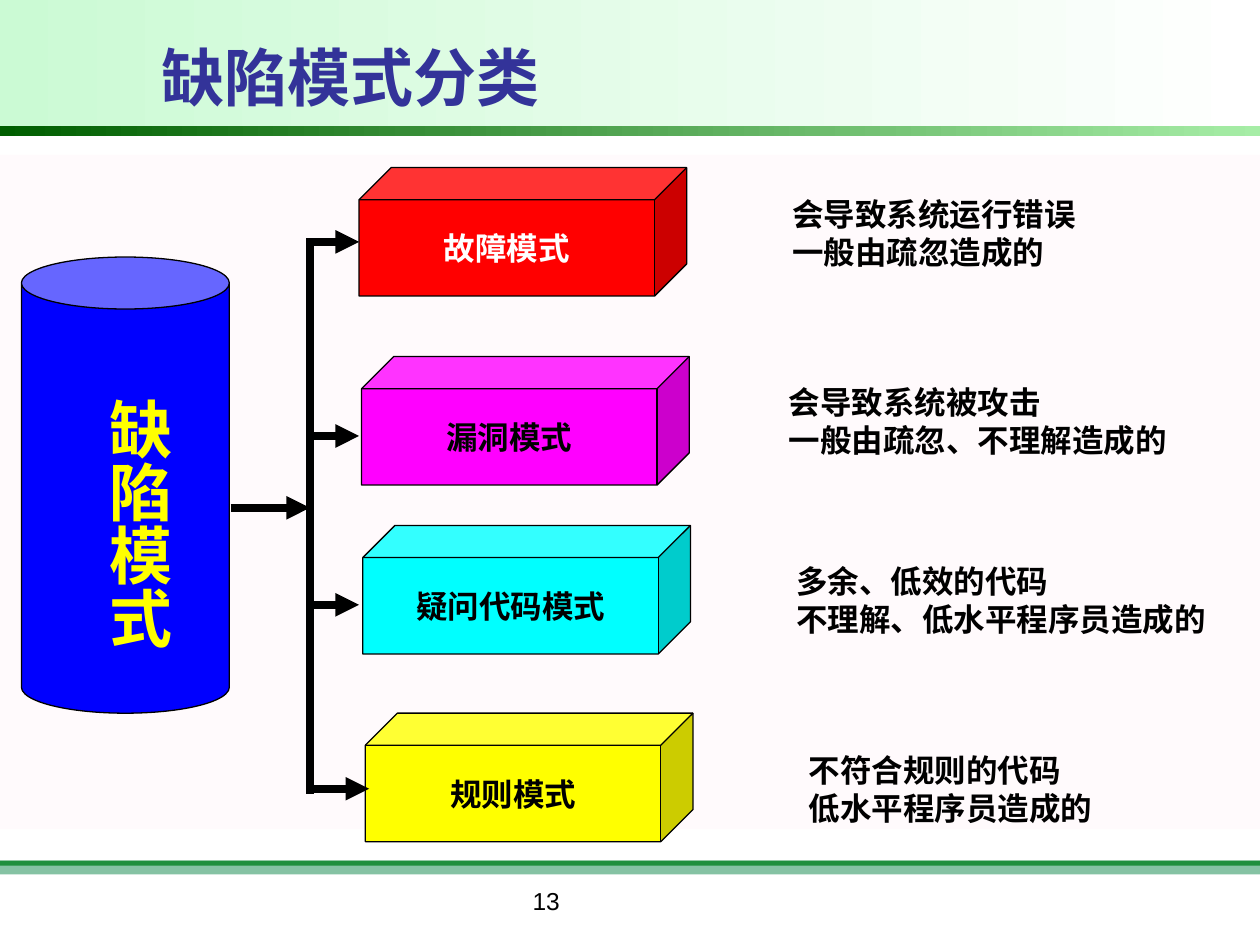
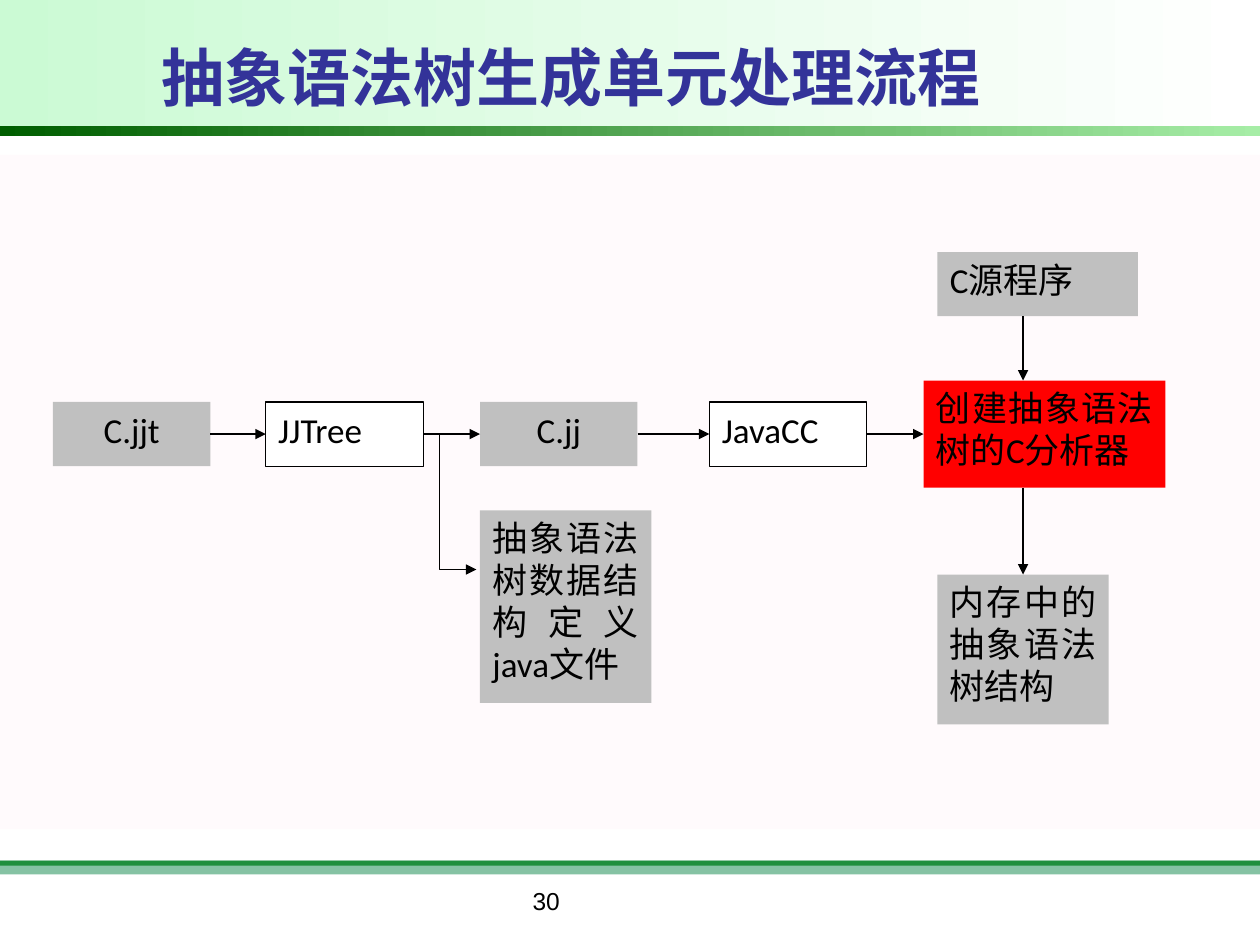
from dataclasses import dataclass
from typing import NamedTuple

from lxml import etree
from pptx import Presentation
from pptx.dml.color import RGBColor
from pptx.enum.shapes import MSO_CONNECTOR, MSO_SHAPE
from pptx.enum.text import MSO_ANCHOR, MSO_AUTO_SIZE, PP_ALIGN
from pptx.oxml.ns import qn
from pptx.util import Inches, Pt

RECT, CAN, CUBE = MSO_SHAPE.RECTANGLE, MSO_SHAPE.CAN, MSO_SHAPE.CUBE
STRAIGHT = MSO_CONNECTOR.STRAIGHT
TOP, MIDDLE = MSO_ANCHOR.TOP, MSO_ANCHOR.MIDDLE
GROW = MSO_AUTO_SIZE.SHAPE_TO_FIT_TEXT
LEFT, CENTER, JUSTIFY = PP_ALIGN.LEFT, PP_ALIGN.CENTER, PP_ALIGN.JUSTIFY
LEFT_SIDE, RIGHT_SIDE, TOP_SIDE = 1, 3, 0


@dataclass(frozen=True)
class Theme:
    font: str = "Arial"
    flow_font: str = "Calibri"
    title_size: int = 36
    flow_size: int = 20
    body_size: int = 18
    number_size: int = 14
    thin: float = 0.75
    thick: float = 4.5
    black: str = "000000"
    white: str = "FFFFFF"
    title: str = "333399"
    panel: str = "FFFAFC"
    header_start: str = "CBFAD4"
    band_start: str = "005E00"
    band_end: str = "A6EDA6"
    footer_light: str = "85C2A3"
    footer_dark: str = "1F8F3D"
    blue: str = "0000FF"
    red: str = "FF0000"
    magenta: str = "FF00FF"
    cyan: str = "00FFFF"
    yellow: str = "FFFF00"
    grey: str = "C0C0C0"


T = Theme()


class Box(NamedTuple):
    left: float
    top: float
    width: float
    height: float

    def place(self, left, top, width, height):
        return Box(self.left + left, self.top + top, width, height)

    def point(self, x, y):
        return Inches(self.left + x), Inches(self.top + y)

    def emu(self):
        return [Inches(v) for v in self]


def rgb(value):
    return RGBColor.from_string(value)


def write(sp, lines, size, color=T.black, font=T.font, bold=False,
          align=LEFT, anchor=TOP, wrap=True):
    tf = sp.text_frame
    tf.text = "\n".join(lines)
    tf.word_wrap = wrap
    tf.vertical_anchor = anchor
    for p in tf.paragraphs:
        p.alignment = align
        for r in p.runs:
            r.font.name = font
            r.font.size = Pt(size)
            r.font.bold = bold
            r.font.color.rgb = rgb(color)


def add_label(slide, box, lines, size, **style):
    sp = slide.shapes.add_textbox(*box.emu())
    write(sp, lines, size, **style)
    return sp


def add_solid(slide, kind, box, fill, outline=None):
    sp = slide.shapes.add_shape(kind, *box.emu())
    sp.shadow.inherit = False
    sp.fill.solid()
    sp.fill.fore_color.rgb = rgb(fill)
    if outline:
        sp.line.color.rgb = rgb(outline)
        sp.line.width = Pt(T.thin)
    else:
        sp.line.fill.background()
    return sp


def add_gradient(slide, box, start, end):
    sp = add_solid(slide, RECT, box, start)
    sp.fill.gradient()
    sp.fill.gradient_angle = 0
    for stop, color in zip(sp.fill.gradient_stops, (start, end)):
        stop.color.rgb = rgb(color)


def style_line(line_shape, width, arrow):
    line_shape.line.color.rgb = rgb(T.black)
    line_shape.line.width = Pt(width)
    if arrow:
        ln = line_shape._element.spPr.find(qn("a:ln"))
        etree.SubElement(ln, qn("a:tailEnd"), type="triangle")


def add_line(slide, start, end, width, arrow=True):
    cxn = slide.shapes.add_connector(STRAIGHT, *start, *end)
    style_line(cxn, width, arrow)
    etree.SubElement(cxn._element.spPr, qn("a:effectLst"))
    return cxn


def add_frame(prs, title, number):
    slide = prs.slides.add_slide(prs.slide_layouts[6])
    add_solid(slide, RECT, Box(0, 6.83, 10, 0.11), T.footer_light)
    add_solid(slide, RECT, Box(0, 6.83, 10, 0.04), T.footer_dark)
    add_solid(slide, RECT, Box(0, 1.23, 10, 5.35), T.panel)
    add_gradient(slide, Box(0, 0, 10, 1.07), T.header_start, T.white)
    add_gradient(slide, Box(0, 1, 10, 0.08), T.band_start, T.band_end)
    add_label(slide, Box(1.18, 0.25, 7.74, 0.71), [title], T.title_size,
              color=T.title, bold=True, anchor=MIDDLE)
    add_label(slide, Box(2.75, 6.98, 3.17, 0.52), [number], T.number_size,
              align=CENTER)
    return slide


def add_cylinder(slide, box, text):
    add_solid(slide, CAN, box, T.blue, T.black).adjustments[0] = 0.25
    sp = add_label(slide, box.place(0.48, 1.02, 0.8, 2.1), [text],
                   T.title_size, color=T.yellow, bold=True, wrap=False)
    tf = sp.text_frame
    tf.auto_size = GROW
    tf.margin_left = tf.margin_right = Inches(0.05)
    tf.margin_top = tf.margin_bottom = Inches(0.1)
    tf._txBody.bodyPr.set("vert", "eaVert")


def add_cube(slide, box, text, fill, color):
    sp = add_solid(slide, CUBE, box, fill, T.black)
    sp.adjustments[0] = 0.25
    write(sp, [text], T.body_size, color=color, bold=True, align=CENTER,
          anchor=MIDDLE, wrap=False)


def add_pattern_tree(slide, box):
    add_cylinder(slide, box.place(0, 0.71, 1.65, 3.62), "缺陷模式")
    trunk = 2.29
    patterns = [
        ("故障模式", T.red, T.white, (2.68, 0), (2.68, 0.59), (6.02, 0.17),
         ["会导致系统运行错误", "一般由疏忽造成的"]),
        ("漏洞模式", T.magenta, T.black, (2.7, 1.5), (2.68, 2.13), (5.99, 1.66),
         ["会导致系统被攻击", "一般由疏忽、不理解造成的"]),
        ("疑问代码模式", T.cyan, T.black, (2.71, 2.84), (2.68, 3.47), (6.05, 3.08),
         ["多余、低效的代码", "不理解、低水平程序员造成的"]),
        ("规则模式", T.yellow, T.black, (2.73, 4.33), (2.76, 4.93), (6.15, 4.58),
         ["不符合规则的代码", "低水平程序员造成的"]),
    ]
    for name, fill, color, cube_at, tip, note_at, notes in patterns:
        add_cube(slide, box.place(*cube_at, 2.6, 1.02), name, fill, color)
        add_line(slide, box.point(trunk, tip[1]), box.point(*tip), T.thick)
        sp = add_label(slide, box.place(*note_at, 3.45, 0.7), notes,
                       T.body_size, bold=True, wrap=False)
        sp.text_frame.auto_size = GROW
    add_line(slide, box.point(trunk, 0.56), box.point(trunk, 4.97), T.thick,
             arrow=False)
    add_line(slide, box.point(1.66, 2.7), box.point(trunk, 2.7), T.thick)


def add_step(slide, box, text, fill=T.grey, outline=None, align=JUSTIFY):
    sp = add_solid(slide, RECT, box, fill, outline)
    write(sp, [text], T.flow_size, font=T.flow_font, align=align)
    return sp


def add_elbow_arrow(slide, points):
    builder = slide.shapes.build_freeform(*points[0], scale=1.0)
    builder.add_line_segments(points[1:], close=False)
    sp = builder.convert_to_shape()
    sp.shadow.inherit = False
    sp.fill.background()
    style_line(sp, T.thin, True)


def add_syntax_tree_flow(slide, box):
    def stage(left, text, **style):
        return add_step(slide, box.place(left, 1.19, 1.25, 0.51), text, **style)

    tool = {"fill": T.white, "outline": T.black}
    chain = [
        stage(0, "C.jjt", align=CENTER),
        stage(1.69, "JJTree", **tool),
        stage(3.39, "C.jj", align=CENTER),
        stage(5.21, "JavaCC", **tool),
        add_step(slide, box.place(6.91, 1.02, 1.92, 0.85),
                 "创建抽象语法树的C分析器", fill=T.red),
    ]
    add_step(slide, box.place(3.39, 2.05, 1.36, 1.53),
             "抽象语法树数据结构定义java文件")
    add_step(slide, box.place(7.02, 0, 1.59, 0.51), "C源程序")
    result = add_step(slide, box.place(7.02, 2.56, 1.36, 1.19),
                      "内存中的抽象语法树结构")

    origin = box.point(0, 0)
    for source, target in zip(chain, chain[1:]):
        cxn = add_line(slide, origin, origin, T.thin)
        cxn.begin_connect(source, RIGHT_SIDE)
        cxn.end_connect(target, LEFT_SIDE)
    add_elbow_arrow(slide, [box.point(3.07, 1.45), box.point(3.07, 2.52),
                            box.point(3.36, 2.52)])
    add_line(slide, box.point(7.7, 0.51), box.point(7.7, 1.02), T.thin)
    cxn = add_line(slide, box.point(7.7, 1.87), box.point(7.7, 2.56), T.thin)
    cxn.end_connect(result, TOP_SIDE)


def main():
    prs = Presentation()
    prs.slide_width, prs.slide_height = Inches(10), Inches(7.5)
    add_pattern_tree(add_frame(prs, "缺陷模式分类", "13"),
                     Box(0.17, 1.33, 9.5, 5.35))
    add_syntax_tree_flow(add_frame(prs, "抽象语法树生成单元处理流程", "30"),
                         Box(0.42, 2, 8.83, 3.75))
    prs.save("out.pptx")


if __name__ == "__main__":
    main()
